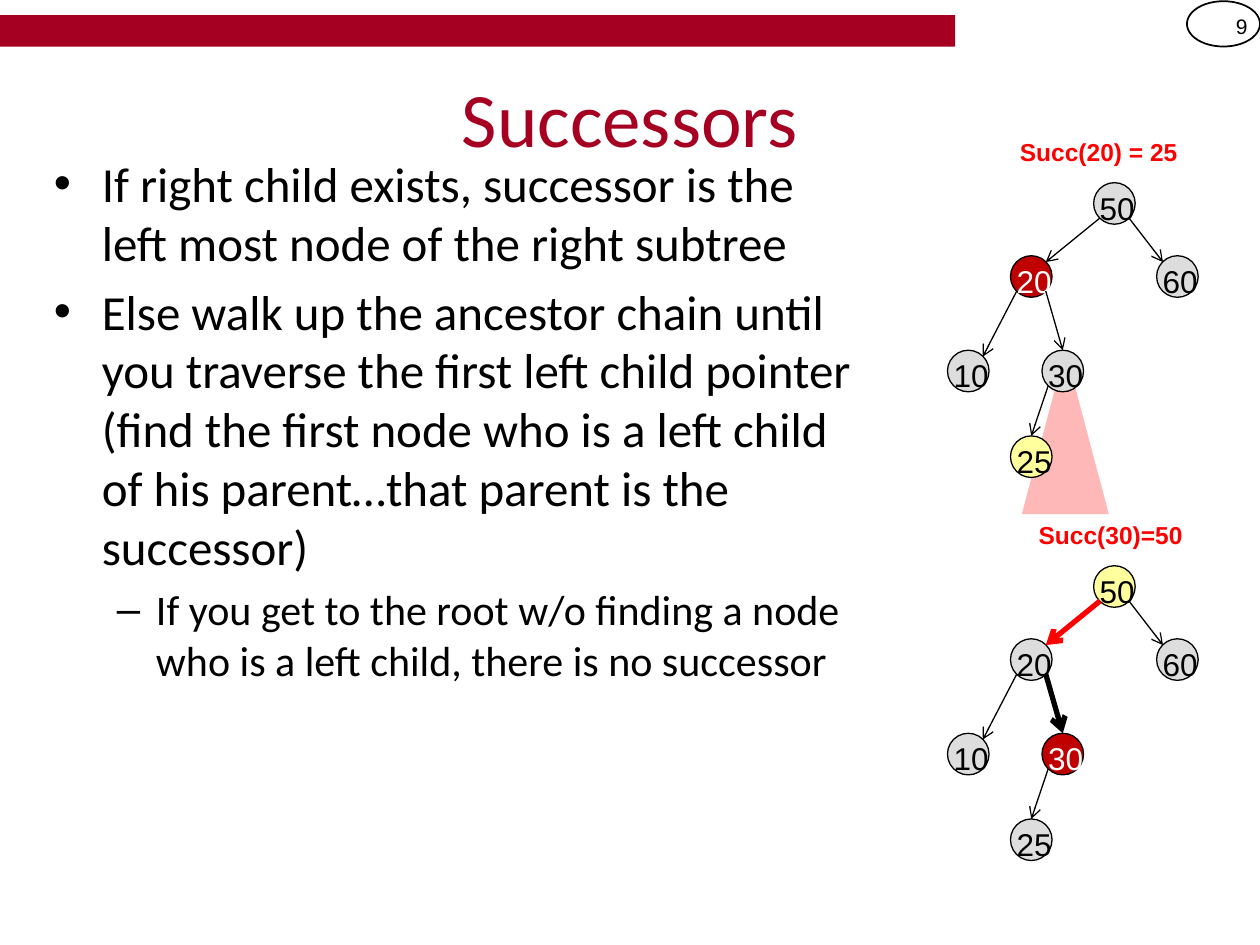
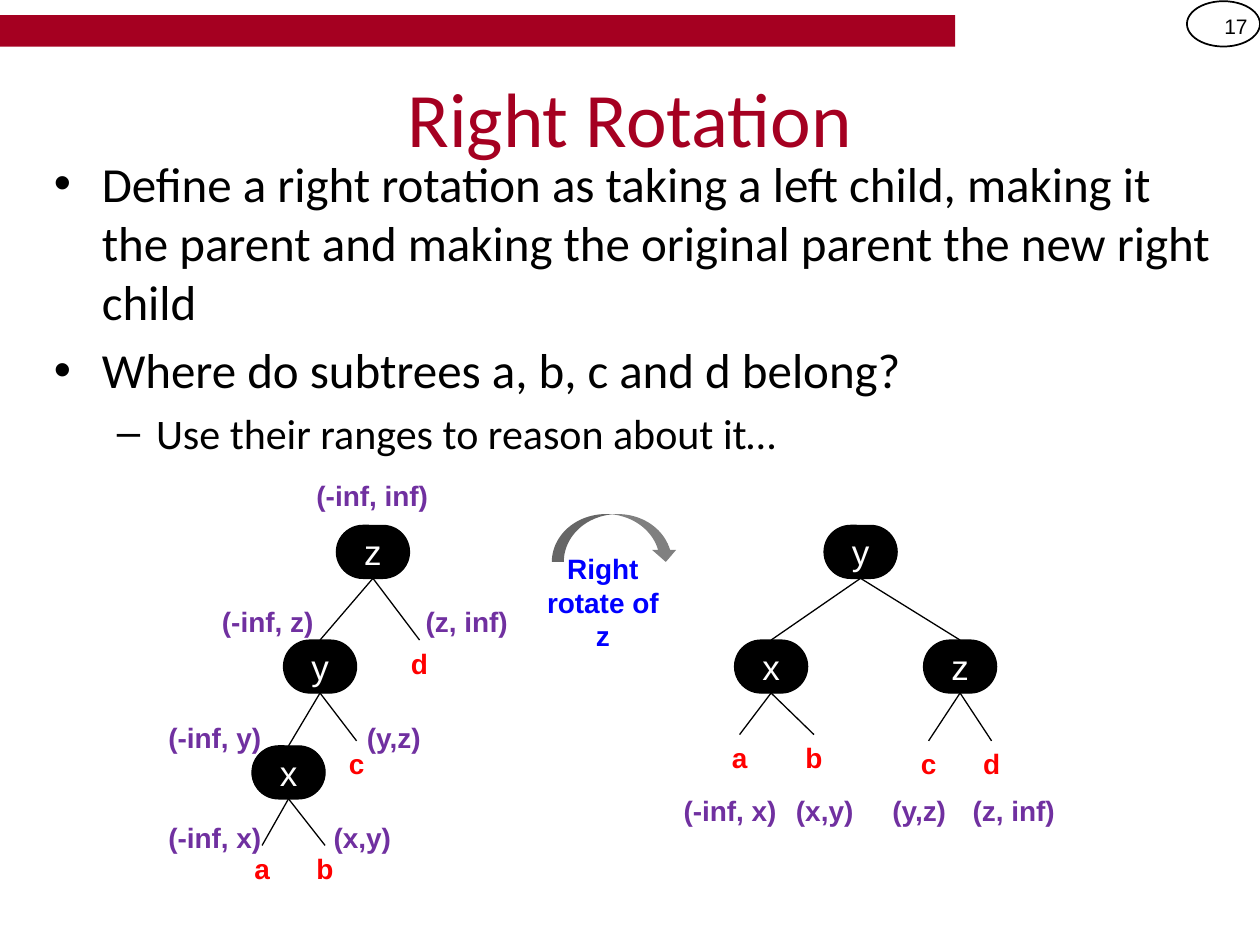
from pptx import Presentation
from pptx.dml.color import RGBColor as Rgb
from pptx.enum.shapes import MSO_CONNECTOR as Link, MSO_SHAPE as Kind
from pptx.enum.text import MSO_ANCHOR as Anchor, PP_ALIGN as Align
from pptx.oxml.ns import qn
from pptx.util import Inches, Pt
from lxml.etree import SubElement as Sub

HUES = {
    "brand": "A50021", "black": "000000", "white": "FFFFFF", "grey": "DDDDDD",
    "dark": "C00000", "yellow": "FFFF9E", "pink": "FFB8B8", "red": "FF0000",
    "blue": "0000FF", "purple": "7030A0", "arrow": "808080",
}
LEVELS = [(28, 0.38, -0.38, "•"), (24, 0.81, -0.31, "–")]
DOT = 0.33
PILL_W, PILL_H = 0.58, 0.42


def hue(name):
    """Return a named colour."""
    return Rgb.from_string(HUES[name])


def style(par, size, color, font="Arial", bold=False):
    """Set the font of a paragraph."""
    par.font.name, par.font.size, par.font.bold = font, Pt(size), bold
    par.font.color.rgb = hue(color)


def label(slide, text, box, size, color, font="Arial", bold=True,
          align=Align.CENTER, anchor=Anchor.TOP):
    """Add a wrapped line of text in a box."""
    frame = slide.shapes.add_textbox(*map(Inches, box)).text_frame
    frame.word_wrap, frame.vertical_anchor = True, anchor
    par = frame.paragraphs[0]
    par.text, par.alignment = text, align
    style(par, size, color, font, bold)


def shape(slide, kind, box, fill=None, line=None):
    """Add a flat preset shape; line is a width in points."""
    item = slide.shapes.add_shape(kind, *map(Inches, box))
    item.shadow.inherit = False
    if fill:
        item.fill.solid()
        item.fill.fore_color.rgb = hue(fill)
    else:
        item.fill.background()
    if line:
        item.line.color.rgb = hue("black")
        item.line.width = Pt(line)
    else:
        item.line.fill.background()
    return item


def edge(slide, start, end, color="black", width=0.75, arrow=False):
    """Add a straight line between two points."""
    line = slide.shapes.add_connector(Link.STRAIGHT, *map(Inches, (*start, *end)))
    line.line.color.rgb, line.line.width = hue(color), Pt(width)
    if arrow:
        Sub(line.line._get_or_add_ln(), qn("a:tailEnd"), type="arrow")
    Sub(line._element.spPr, qn("a:effectLst"))
    return line


def base(deck, title, number):
    """Start a slide with its band, page number and title."""
    slide = deck.slides.add_slide(deck.slide_layouts[6])
    label(slide, number, (9.42, 0.01, 0.58, 0.4), 12, "black", bold=False,
          align=Align.RIGHT, anchor=Anchor.MIDDLE)
    shape(slide, Kind.RECTANGLE, (0, 0.12, 7.58, 0.25), "brand")
    shape(slide, Kind.OVAL, (9.42, 0.01, 0.58, 0.36), line=1)
    label(slide, title, (0.5, 0.3, 9, 1.25), 44, "brand", "Calibri", False,
          anchor=Anchor.MIDDLE)
    return slide


def body(slide, box, items):
    """Add a bullet list of (level, text) items."""
    frame = slide.shapes.add_textbox(*map(Inches, box)).text_frame
    frame.word_wrap = True
    for i, (level, text) in enumerate(items):
        size, left, hang, mark = LEVELS[level]
        par = frame.add_paragraph() if i else frame.paragraphs[0]
        par.text, par.level = text, level
        if i:
            par.space_before = Pt(size * 0.2)
        props = par._p.get_or_add_pPr()
        props.set("marL", str(Inches(left)))
        props.set("indent", str(Inches(hang)))
        Sub(props, qn("a:buFont"), typeface="Arial")
        Sub(props, qn("a:buChar"), char=mark)
        style(par, size, "black", "Calibri")


def search(slide, left, top, fills, bold):
    """Draw the search tree with some nodes filled and some edges bold."""
    spots = {"50": (1.16, 0), "30": (0.75, 1.33), "25": (0.5, 2.01),
             "20": (0.5, 0.58), "10": (0, 1.33), "60": (1.66, 0.58)}
    spots = {key: (left + x, top + y) for key, (x, y) in spots.items()}
    nodes = {}
    for key, spot in spots.items():
        fill = fills.get(key, "grey")
        node = nodes[key] = shape(slide, Kind.OVAL, (*spot, DOT, DOT), fill, 0.75)
        frame = node.text_frame
        frame.margin_left = frame.margin_right = 0
        frame.margin_top = frame.margin_bottom = 0
        frame.word_wrap, frame.vertical_anchor = False, Anchor.TOP
        par = frame.paragraphs[0]
        par.text, par.alignment = key, Align.LEFT
        style(par, 18, "white" if fill == "dark" else "black")
    near, far = 0.05, 0.28
    for head, tail, out, into in (
            ("50", "20", near, far), ("30", "25", near, None),
            ("20", "30", far, None), ("20", "10", near, far),
            ("50", "60", far, near)):
        (x, y), (u, v) = spots[head], spots[tail]
        end = (u + into, v + near) if into else (u + DOT / 2, v)
        color = bold.get((head, tail))
        line = edge(slide, (x + out, y + far), end, color or "black",
                    3 if color else 0.75, True)
        if not into:
            line.end_connect(nodes[tail], 0)


def rotated(slide, left, top, spots, links, leaves, spans):
    """Draw a tree of pills with its links, subtree letters and ranges."""
    nodes = {}
    for key, (x, y) in spots.items():
        node = nodes[key] = shape(slide, Kind.ROUNDED_RECTANGLE,
                                  (left + x, top + y, PILL_W, PILL_H), "black", 0.75)
        node.adjustments[0] = 0.5
        frame = node.text_frame
        frame.margin_left = frame.margin_right = 0
        par = frame.paragraphs[0]
        par.text, par.alignment = key, Align.CENTER
        style(par, 20, "white")
    for head, tail in links:
        line = edge(slide, (left, top), (left, top))
        line.begin_connect(nodes[head], 2)
        line.end_connect(nodes[tail], 0)
    for key, head, x, y in leaves:
        tip = left + x, top + y
        edge(slide, tip, tip).begin_connect(nodes[head], 2)
        label(slide, key, (tip[0] - 0.25, tip[1], 0.5, 0.37), 16, "red")
    for text, x, y in spans:
        label(slide, text, (left + x, top + y, 1.25, 0.37), 16, "purple")


def follow(deck):
    """Build the slide on successors."""
    slide = base(deck, "Successors", "9")
    shape(slide, Kind.ISOSCELES_TRIANGLE, (8.11, 2.78, 0.69, 1.3), "pink")
    body(slide, (0.33, 1.17, 6.67, 2.33), [
        (0, "If right child exists, successor is the left most node of the right subtree"),
        (0, "Else walk up the ancestor chain until you traverse the first left child "
            "pointer (find the first node who is a left child of his parent…that "
            "parent is the successor)"),
        (1, "If you get to the root w/o finding a node who is a left child, there is "
            "no successor")])
    search(slide, 7.52, 1.45, {"20": "dark", "25": "yellow"}, {})
    label(slide, "Succ(20) = 25", (7.93, 1.04, 1.58, 0.34), 14, "red")
    search(slide, 7.52, 4.49, {"30": "dark", "50": "yellow"},
           {("50", "20"): "red", ("20", "30"): "black"})
    label(slide, "Succ(30)=50", (8.11, 4.08, 1.41, 0.34), 14, "red")


def rotate(deck):
    """Build the slide on right rotation."""
    slide = base(deck, "Right Rotation", "17")
    body(slide, (0.33, 1.17, 9.42, 1.58), [
        (0, "Define a right rotation as taking a left child, making it the parent and "
            "making the original parent the new right child"),
        (0, "Where do subtrees a, b, c and d belong?"),
        (1, "Use their ranges to reason about it…")])
    rotated(slide, 1.08, 3.75,
            {"z": (1.59, 0.42), "y": (1.17, 1.33), "x": (0.92, 2.17)},
            ["zy", "yx"],
            [("a", "x", 1, 2.96), ("b", "x", 1.5, 2.96),
             ("c", "y", 1.75, 2.13), ("d", "z", 2.25, 1.33)],
            [("(-inf, inf)", 1.25, 0), ("(-inf, z)", 0.42, 1),
             ("(z, inf)", 2, 1), ("(-inf, y)", 0, 1.92), ("(y,z)", 1.42, 1.92),
             ("(-inf, x)", 0, 2.71), ("(x,y)", 1.17, 2.71)])
    label(slide, "Right rotate of\nz", (4.12, 4.33, 1.33, 0.91), 16, "blue")
    shape(slide, Kind.CURVED_DOWN_ARROW, (4.38, 4.08, 1, 0.38), "arrow")
    spans = ("(-inf, x)", "(x,y)", "(y,z)", "(z, inf)")
    rotated(slide, 5.17, 4.17,
            {"y": (1.37, 0), "x": (0.66, 0.91), "z": (2.16, 0.91)},
            ["yx", "yz"],
            [("a", "x", 0.7, 1.66), ("b", "x", 1.29, 1.66),
             ("c", "z", 2.2, 1.71), ("d", "z", 2.7, 1.71)],
            [(text, 0.75 * i, 2.08) for i, text in enumerate(spans)])


def main():
    """Build and save the deck."""
    deck = Presentation()
    deck.slide_width, deck.slide_height = Inches(10), Inches(7.5)
    follow(deck)
    rotate(deck)
    deck.save("out.pptx")


if __name__ == "__main__":
    main()
